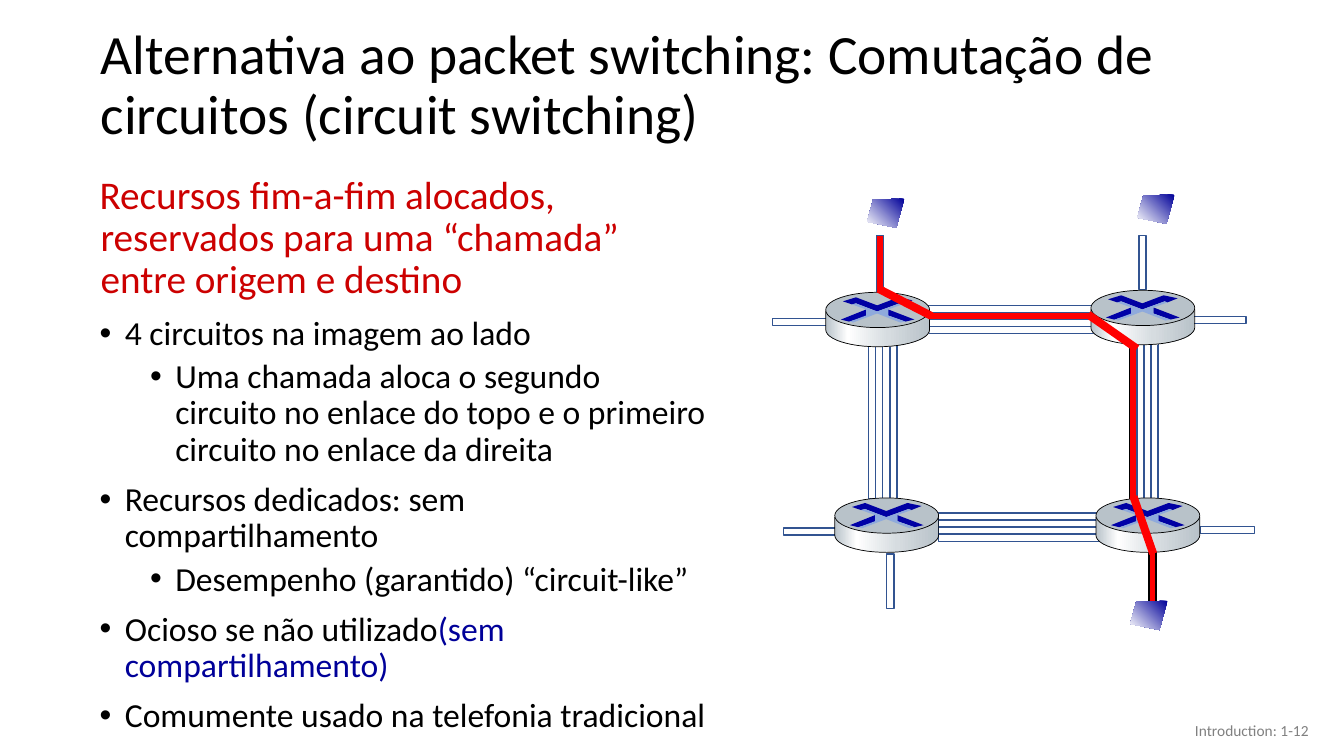
from math import cos, pi, sin

from pptx import Presentation
from pptx.dml.color import RGBColor
from pptx.enum.shapes import MSO_SHAPE
from pptx.enum.text import MSO_ANCHOR, MSO_AUTO_SIZE, PP_ALIGN
from pptx.oxml import parse_xml
from pptx.oxml.ns import nsdecls, qn
from pptx.util import Inches, Pt

BLACK = RGBColor(0x00, 0x00, 0x00)
GRAY = RGBColor(0x80, 0x80, 0x80)
CRIMSON = RGBColor(0xCC, 0x00, 0x00)
NAVY = RGBColor(0x00, 0x00, 0x99)
RED = RGBColor(0xFF, 0x00, 0x00)
LINK_BLUE = RGBColor(0x32, 0x54, 0x91)
ROUTER_GRAY = RGBColor(0xB8, 0xC2, 0xC9)
ROUTER_LIGHT = RGBColor(0xD6, 0xDC, 0xE0)
WHITE = RGBColor(0xFF, 0xFF, 0xFF)
ARROW_BLUE = RGBColor(0x00, 0x00, 0xA3)
ARROW_BRIGHT = RGBColor(0x00, 0x00, 0xA8)
CROSS_BLUE = RGBColor(0x8F, 0xAA, 0xDC)

HOST_GRADIENT = (135, [(0, NAVY), (100, WHITE)])
ROUTER_GRADIENT = (0, [(0, ROUTER_GRAY), (21, WHITE), (60, ROUTER_LIGHT), (100, ROUTER_GRAY)])


def add_text(frame, *runs, size=24, color=BLACK, align=PP_ALIGN.LEFT, spacing=0.9,
             before=0, margin=0, hanging=0, level=0, bullet=False):
    paragraph = frame.paragraphs[0] if not frame.text else frame.add_paragraph()
    paragraph.alignment = align
    paragraph.level = level
    paragraph.line_spacing = spacing
    paragraph.space_before = Pt(before)
    properties = paragraph._p.get_or_add_pPr()
    properties.set("marL", str(Inches(margin)))
    properties.set("indent", str(-Inches(hanging)))
    if bullet:
        properties.append(parse_xml(f'<a:buFont {nsdecls("a")} typeface="Arial"/>'))
        properties.append(parse_xml(f'<a:buChar {nsdecls("a")} char="•"/>'))
    for wording, run_color in zip(runs, (color, NAVY)):
        run = paragraph.add_run()
        run.text = wording
        run.font.name = "Calibri"
        run.font.size = Pt(size)
        run.font.color.rgb = run_color


def paint(shape, fill=None, line=None, width=1, rotation=0):
    shape.shadow.inherit = False
    shape.rotation = rotation
    if fill is None:
        shape.fill.background()
    elif isinstance(fill, RGBColor):
        shape.fill.solid()
        shape.fill.fore_color.rgb = fill
    else:
        angle, stops = fill
        shape.fill.gradient()
        default = shape._element.spPr.find(qn("a:gradFill"))
        marks = "".join(f'<a:gs pos="{place * 1000}"><a:srgbClr val="{color}"/></a:gs>'
                        for place, color in stops)
        default.getparent().replace(default, parse_xml(
            f'<a:gradFill {nsdecls("a")}><a:gsLst>{marks}</a:gsLst>'
            f'<a:lin ang="{angle * 60000}" scaled="0"/></a:gradFill>'))
    if line is None:
        shape.line.fill.background()
    else:
        shape.line.color.rgb = line
        shape.line.width = Pt(width)


presentation = Presentation()
presentation.slide_width = Inches(13.33)
presentation.slide_height = Inches(7.5)
slide = presentation.slides.add_slide(presentation.slide_layouts[5])
shapes = slide.shapes

title = shapes.title
title.left, title.top, title.width, title.height = (Inches(n) for n in (0.9, 0.37, 11.5, 0.98))
title.text_frame.auto_size = MSO_AUTO_SIZE.NONE
title.text_frame.vertical_anchor = MSO_ANCHOR.MIDDLE
add_text(title.text_frame,
         "Alternativa ao packet switching: Comutação de circuitos (circuit switching)", size=39.6)

topics = shapes.add_textbox(Inches(0.89), Inches(1.69), Inches(6.23), Inches(5.81)).text_frame
topics.word_wrap = True
add_text(topics, "Recursos fim-a-fim alocados, reservados para uma “chamada” entre origem e destino",
         size=28, color=CRIMSON, margin=0.01, hanging=0.01)
for level, *wording in [
    (0, "4 circuitos na imagem ao lado"),
    (1, "Uma chamada aloca o segundo circuito no enlace do topo e o primeiro circuito no enlace da direita"),
    (0, "Recursos dedicados: sem compartilhamento"),
    (1, "Desempenho (garantido) “circuit-like”"),
    (0, "Ocioso se não utilizado", "(sem compartilhamento)"),
    (0, "Comumente usado na telefonia tradicional"),
]:
    add_text(topics, *wording, level=level, before=5 if level else 10,
             margin=0.25 + 0.5 * level, hanging=0.25, bullet=True)

page_number = shapes.add_textbox(Inches(10.08), Inches(7.05), Inches(3), Inches(0.4)).text_frame
page_number.word_wrap = True
page_number.vertical_anchor = MSO_ANCHOR.MIDDLE
add_text(page_number, "Introduction: 1-12", size=11, color=GRAY, align=PP_ALIGN.RIGHT, spacing=1)

circuits = []
for left, top, length, rotation, reserved, edge in [
    (9.21, 3.03, 1.64, 0, 1, LINK_BLUE),
    (7.86, 4.12, 1.58, 90, None, LINK_BLUE),
    (9.31, 5.09, 1.62, 0, None, LINK_BLUE),
    (10.45, 4.13, 1.58, 90, 0, BLACK),
]:
    for lane in range(4):
        shift = 0.07 * lane
        busy = lane == reserved
        circuits.append((left + (shift if rotation else 0), top + (0 if rotation else shift),
                         length, rotation, RED if busy else None, edge if busy else LINK_BLUE))
access_links = [
    (7.77, 5.24, 0.54, 0, None, LINK_BLUE),
    (8.45, 2.58, 0.56, 90, RED, LINK_BLUE),
    (8.56, 5.73, 0.54, 90, None, LINK_BLUE),
    (11.16, 5.71, 0.54, 90, RED, BLACK),
    (11.9, 5.22, 0.54, 180, None, LINK_BLUE),
    (7.66, 3.16, 0.54, 0, None, LINK_BLUE),
    (11.82, 3.14, 0.54, 0, None, LINK_BLUE),
    (11.06, 2.57, 0.54, 90, None, LINK_BLUE),
]
for left, top, length, rotation, fill, edge in circuits + access_links:
    link = shapes.add_shape(MSO_SHAPE.RECTANGLE, Inches(left), Inches(top), Inches(length), Inches(0.07))
    paint(link, fill, edge, rotation=rotation)

router_side = [(0, 0.19), (1.03, 0.19)] + [
    (0.515 + 0.515 * cos(pi * step / 24), 0.37 + 0.17 * sin(pi * step / 24)) for step in range(25)]
upper_arrows = [(0.72, 0.05), (0.86, 0.08), (0.76, 0.12), (0.73, 0.11), (0.51, 0.19), (0.3, 0.11),
                (0.26, 0.12), (0.17, 0.09), (0.3, 0.05), (0.51, 0.13)]
right_arrow = [(0.62, 0.17), (0.88, 0.27), (0.79, 0.29), (0.62, 0.23)]
left_arrow = [(0.4, 0.17), (0.4, 0.24), (0.23, 0.29), (0.15, 0.27)]
cross = [(0.26, 0.12), (0.3, 0.11), (0.51, 0.19), (0.73, 0.11), (0.76, 0.12), (0.62, 0.17),
         (0.62, 0.23), (0.79, 0.29), (0.74, 0.3), (0.51, 0.21), (0.27, 0.3), (0.24, 0.29),
         (0.4, 0.23), (0.4, 0.17)]
host = [([(0.37, 0), (0.06, 0.01), (0, 0.23), (0.29, 0.29)], HOST_GRADIENT, None)]
router = [
    (router_side, ROUTER_GRADIENT, BLACK),
    (None, ROUTER_GRAY, BLACK),
    (upper_arrows, ARROW_BLUE, None),
    (right_arrow, ARROW_BLUE, None),
    (left_arrow, ARROW_BRIGHT, None),
    (cross, CROSS_BLUE, None),
]
for left, top, device in [
    (11.28, 1.93, host), (11.21, 5.96, host), (8.6, 1.97, host),
    (8.19, 2.9, router), (8.28, 4.94, router), (10.87, 4.94, router), (10.82, 2.88, router),
]:
    for outline, fill, edge in device:
        if outline is None:
            part = shapes.add_shape(MSO_SHAPE.OVAL, Inches(left), Inches(top), Inches(1.03), Inches(0.35))
        else:
            corners = [(Inches(left + x), Inches(top + y)) for x, y in outline]
            builder = shapes.build_freeform(*corners[0])
            builder.add_line_segments(corners[1:], close=True)
            part = builder.convert_to_shape()
        paint(part, fill, edge, width=0.5)

for left, top, length, rotation in [
    (8.68, 2.96, 0.59, 27.2), (10.74, 3.25, 0.59, 35), (11.04, 5.17, 0.6, 70.9),
]:
    crossing = shapes.add_shape(MSO_SHAPE.RECTANGLE, Inches(left), Inches(top), Inches(length), Inches(0.08))
    paint(crossing, RED, rotation=rotation)

presentation.save("out.pptx")
